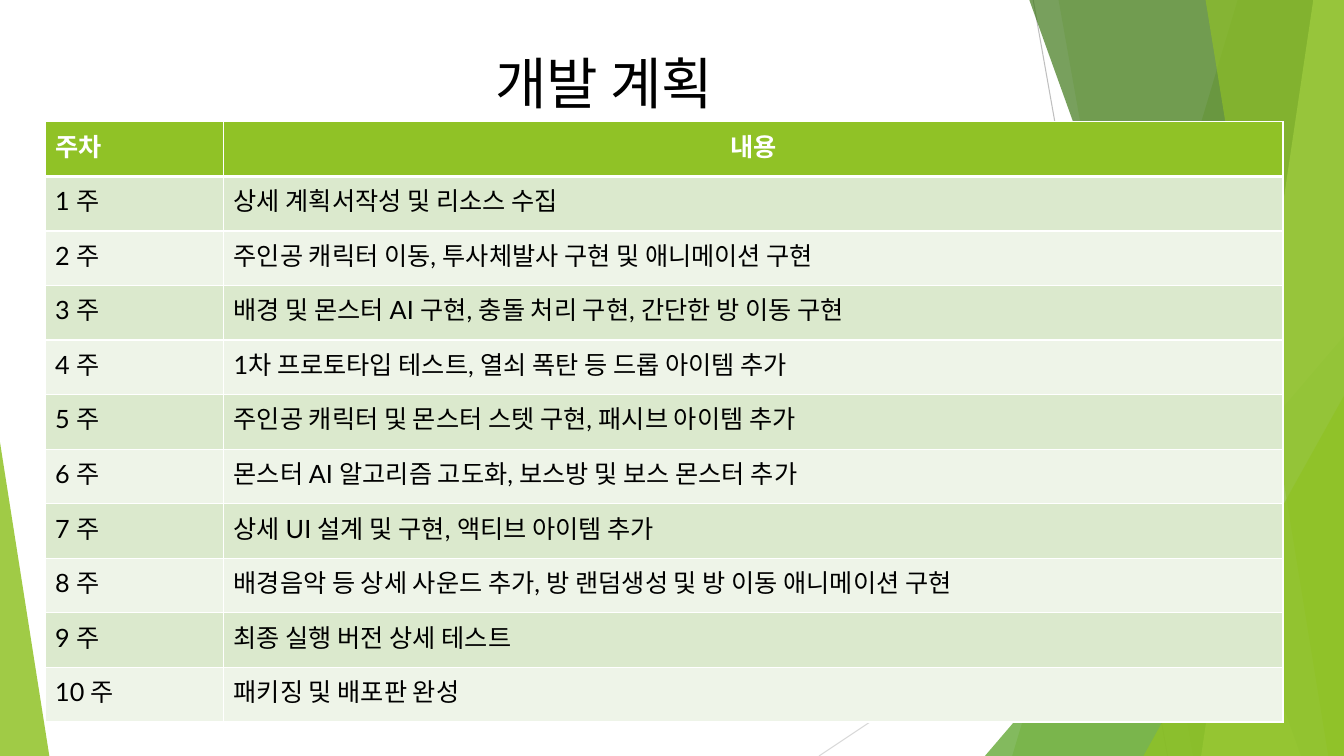
from dataclasses import dataclass

from lxml.etree import SubElement
from pptx import Presentation
from pptx.dml.color import RGBColor
from pptx.enum.shapes import MSO_CONNECTOR, MSO_SHAPE
from pptx.enum.text import MSO_ANCHOR, PP_ALIGN
from pptx.oxml.ns import qn
from pptx.util import Emu, Pt

SCALE = 9525
WIDE, HIGH = 1280, 720
FONT = "Lato"
BLACK = RGBColor(0x00, 0x00, 0x00)
WHITE = RGBColor(0xFF, 0xFF, 0xFF)
LIME = RGBColor(0x90, 0xC2, 0x26)
GREEN = RGBColor(0x54, 0xA0, 0x21)
DARK = RGBColor(0x3F, 0x78, 0x19)
LIGHT = RGBColor(0xC0, 0xE4, 0x74)
SILVER = RGBColor(0xBF, 0xBF, 0xBF)
PALE = RGBColor(0xD9, 0xD9, 0xD9)
BANDS = (RGBColor(0xEE, 0xF4, 0xE8), RGBColor(0xDB, 0xE9, 0xCD))


@dataclass(frozen=True)
class Line:
    x1: int
    y1: int
    x2: int
    y2: int
    color: RGBColor


@dataclass(frozen=True)
class Blade:
    top: int
    base: int
    color: RGBColor
    alpha: int


@dataclass(frozen=True)
class Wedge:
    left: int
    top: int
    width: int
    point: int
    color: RGBColor
    alpha: int


DECOR = (
    Line(984, 0, 1112, HIGH, SILVER),
    Line(WIDE, 387, 780, HIGH, PALE),
    Blade(1179, 964, LIME, 30),
    Blade(1008, 1136, LIME, 20),
    Wedge(938, 320, 342, 1, GREEN, 72),
    Blade(980, 1239, DARK, 70),
    Blade(1251, 1144, LIGHT, 70),
    Blade(1148, 1265, LIME, 65),
    Wedge(1089, 377, 191, 1, LIME, 80),
    Wedge(0, 421, 47, 0, LIME, 85),
)

TASKS = (
    "상세 계획서작성 및 리소스 수집",
    "주인공 캐릭터 이동, 투사체발사 구현 및 애니메이션 구현",
    "배경 및 몬스터 AI 구현, 충돌 처리 구현, 간단한 방 이동 구현",
    "1차 프로토타입 테스트, 열쇠 폭탄 등 드롭 아이템 추가",
    "주인공 캐릭터 및 몬스터 스텟 구현, 패시브 아이템 추가",
    "몬스터 AI 알고리즘 고도화, 보스방 및 보스 몬스터 추가",
    "상세 UI 설계 및 구현, 액티브 아이템 추가",
    "배경음악 등 상세 사운드 추가, 방 랜덤생성 및 방 이동 애니메이션 구현",
    "최종 실행 버전 상세 테스트",
    "패키징 및 배포판 완성",
)


def px(size: int) -> Emu:
    return Emu(size * SCALE)


def write(frame, text: str, *, size: int = 18, color: RGBColor = BLACK,
          bold: bool = False, align: PP_ALIGN = PP_ALIGN.LEFT) -> None:
    para = frame.paragraphs[0]
    para.alignment = align
    run = para.add_run()
    run.text = text
    run.font.name = FONT
    run.font.size = Pt(size)
    run.font.bold = bold
    run.font.color.rgb = color


def paint(shape, color: RGBColor, alpha: int) -> None:
    shape.shadow.inherit = False
    shape.line.fill.background()
    shape.fill.solid()
    shape.fill.fore_color.rgb = color
    tint = shape.fill._xPr.find(qn("a:solidFill"))[0]
    SubElement(tint, qn("a:alpha"), val=str(alpha * 1000))


def draw_line(shapes, line: Line) -> None:
    link = shapes.add_connector(MSO_CONNECTOR.STRAIGHT, px(line.x1), px(line.y1),
                                px(line.x2), px(line.y2))
    link.line.color.rgb = line.color
    link.line.width = Pt(0.75)
    SubElement(link._element.spPr, qn("a:effectLst"))


def draw_blade(shapes, blade: Blade) -> None:
    pen = shapes.build_freeform(blade.top, -1, scale=SCALE)
    pen.add_line_segments([(WIDE, -1), (WIDE, HIGH), (blade.base, HIGH)], close=True)
    paint(pen.convert_to_shape(), blade.color, blade.alpha)


def draw_wedge(shapes, wedge: Wedge) -> None:
    shape = shapes.add_shape(MSO_SHAPE.ISOSCELES_TRIANGLE, px(wedge.left), px(wedge.top),
                             px(wedge.width), px(HIGH - wedge.top))
    shape.adjustments[0] = wedge.point
    paint(shape, wedge.color, wedge.alpha)


def edge(cell, side: str, width: float) -> None:
    line = SubElement(cell._tc.get_or_add_tcPr(), qn(f"a:ln{side}"), w=str(Pt(width)))
    fill = SubElement(line, qn("a:solidFill"))
    SubElement(fill, qn("a:srgbClr"), val=str(WHITE))


def draw_plan(shapes) -> None:
    rows = [("주차", "내용")]
    rows += [(f"{week} 주", task) for week, task in enumerate(TASKS, 1)]
    widths = (170, 1009)
    step = 52
    table = shapes.add_table(len(rows), len(widths), px(43), px(116),
                             px(sum(widths)), px(step * len(rows))).table
    for col, width in zip(table.columns, widths):
        col.width = px(width)
    for i, texts in enumerate(rows):
        table.rows[i].height = px(step)
        head = i == 0
        for j, text in enumerate(texts):
            cell = table.cell(i, j)
            for side in "LRTB":
                thick = (i, side) in ((0, "B"), (1, "T"))
                edge(cell, side, 3 if thick else 1)
            cell.fill.solid()
            cell.fill.fore_color.rgb = LIME if head else BANDS[i % 2]
            write(cell.text_frame, text, bold=head, color=WHITE if head else BLACK,
                  align=PP_ALIGN.CENTER if head and j else PP_ALIGN.LEFT)


def main() -> None:
    deck = Presentation()
    deck.slide_width, deck.slide_height = px(WIDE), px(HIGH)
    slide = deck.slides.add_slide(deck.slide_layouts[5])
    title = slide.shapes.title
    title.left, title.top, title.width, title.height = map(px, (296, 41, 559, 74))
    title.text_frame.vertical_anchor = MSO_ANCHOR.MIDDLE
    write(title.text_frame, "개발 계획", size=40, align=PP_ALIGN.CENTER)
    tools = {Line: draw_line, Blade: draw_blade, Wedge: draw_wedge}
    for part in DECOR:
        tools[type(part)](slide.shapes, part)
    draw_plan(slide.shapes)
    deck.save("out.pptx")


if __name__ == "__main__":
    main()
